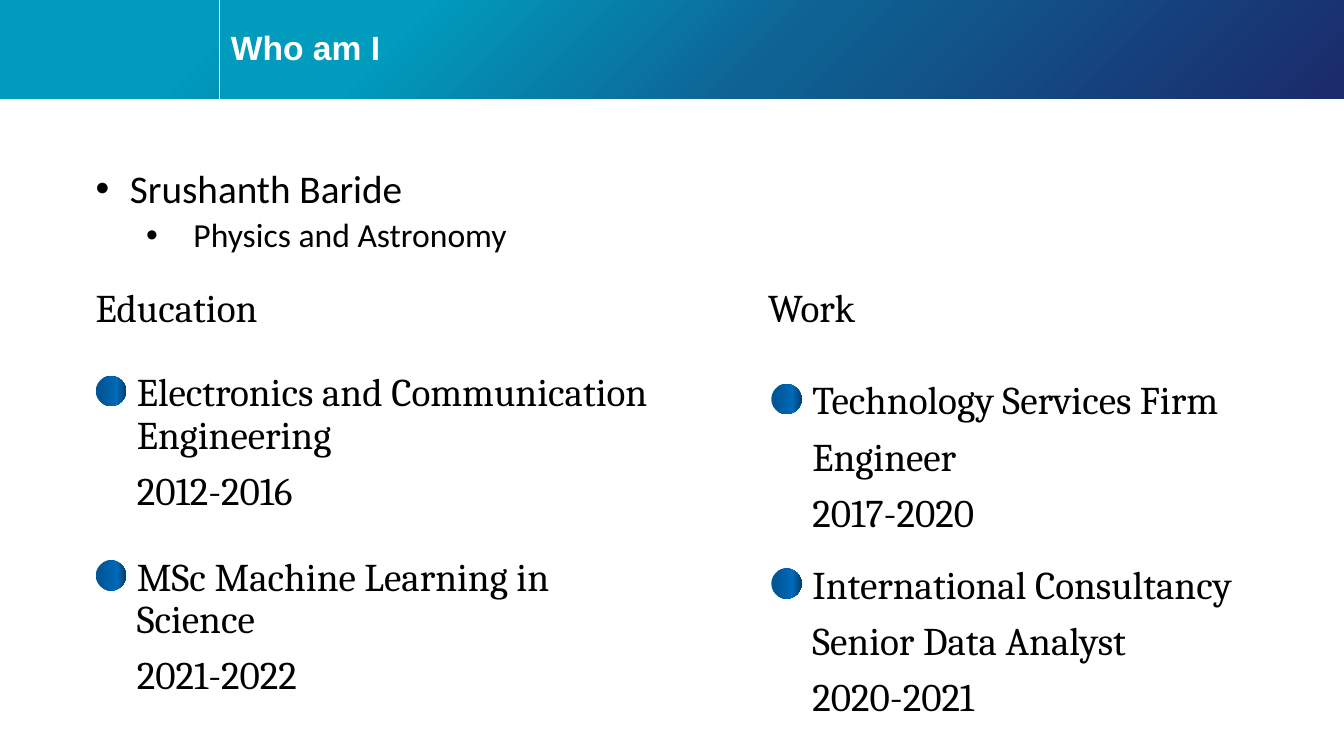
from lxml import etree
from pptx import Presentation
from pptx.dml.color import RGBColor
from pptx.enum.shapes import MSO_CONNECTOR, MSO_SHAPE
from pptx.enum.text import MSO_ANCHOR, PP_ALIGN
from pptx.oxml.ns import qn
from pptx.util import Pt

PX = 9144  # 100 px to the inch
SLIDE_W, SLIDE_H = 1333, 750
HEADER_H = 98
DIVIDER_X = 218
HEADER_STOPS = [(17, "009BBD"), (50, "0E6394"), (100, "1B2A6B")]
DOT_STOPS = [(17, "005697"), (70, "0069B8"), (100, "004071")]
DOT_SIZE = 30

EDUCATION = [
    (373, ["Electronics and Communication Engineering", "2012-2016"]),
    (556, ["MSc Machine Learning in Science", "2021-2022"]),
]
WORK = [
    (381, ["Technology Services Firm", "Engineer", "2017-2020"]),
    (564, ["International Consultancy", "Senior Data Analyst", "2020-2021"]),
]


def px(*lengths):
    return [length * PX for length in lengths]


def color(hex_code):
    return RGBColor.from_string(hex_code)


def add_gradient_shape(slide, kind, box, stops, angle):
    """Add a borderless shape; angle is in degrees, clockwise from left to right."""
    shape = slide.shapes.add_shape(kind, *px(*box))
    shape.shadow.inherit = False
    shape.line.fill.background()
    shape.fill.gradient()
    gradient = shape.fill._xPr.find(qn("a:gradFill"))
    for child in list(gradient):
        gradient.remove(child)
    stop_list = etree.SubElement(gradient, qn("a:gsLst"))
    for position, hex_code in stops:
        stop = etree.SubElement(stop_list, qn("a:gs"), pos=str(position * 1000))
        etree.SubElement(stop, qn("a:srgbClr"), val=hex_code)
    etree.SubElement(gradient, qn("a:lin"), ang=str(angle * 60000), scaled="0")


def add_divider(slide):
    divider = slide.shapes.add_connector(
        MSO_CONNECTOR.STRAIGHT, *px(DIVIDER_X, 0, DIVIDER_X, HEADER_H))
    divider.line.color.rgb = color("FFFFFF")
    divider.line.width = Pt(0.5)
    etree.SubElement(divider._element.spPr, qn("a:effectLst"))


def add_run(paragraph, text, size, font_name, hex_code="000000", bold=False):
    run = paragraph.add_run()
    run.text = text
    run.font.size = Pt(size)
    run.font.name = font_name
    run.font.bold = bold
    run.font.color.rgb = color(hex_code)


def add_text_frame(slide, box):
    frame = slide.shapes.add_textbox(*px(*box)).text_frame
    frame.word_wrap = True
    return frame


def next_paragraph(frame, space_before=10):
    first = frame.paragraphs[0]
    paragraph = frame.add_paragraph() if first.runs else first
    paragraph.line_spacing = 0.9
    paragraph.space_before = Pt(space_before)
    return paragraph


def add_lines(slide, box, lines):
    frame = add_text_frame(slide, box)
    for line in lines:
        add_run(next_paragraph(frame), line, 28, "Cambria")


def set_bullet(paragraph, margin, hanging):
    properties = paragraph._p.get_or_add_pPr()
    properties.set("marL", str(margin * PX))
    properties.set("indent", str(-hanging * PX))
    etree.SubElement(properties, qn("a:buFont"), typeface="Arial")
    etree.SubElement(properties, qn("a:buChar"), char="•")


def add_introduction(slide):
    frame = add_text_frame(slide, (85, 163, 445, 107))
    name = next_paragraph(frame)
    set_bullet(name, 34, 34)
    add_run(name, "Srushanth Baride", 28, "Calibri")
    department = next_paragraph(frame, 5)
    department.level = 1
    set_bullet(department, 97, 47)
    add_run(department, "Physics and Astronomy", 24, "Calibri")


def add_history(slide, heading, heading_left, dot_left, entries):
    add_lines(slide, (heading_left, 281, 209, 51), [heading])
    for dot_top, lines in entries:
        add_gradient_shape(slide, MSO_SHAPE.OVAL,
                           (dot_left, dot_top, DOT_SIZE, DOT_SIZE), DOT_STOPS, 0)
        add_lines(slide, (dot_left + 31, dot_top - 8, 540, 152), lines)


def add_header(slide, text):
    for left in (0, DIVIDER_X + 1):
        add_gradient_shape(slide, MSO_SHAPE.RECTANGLE,
                           (left, 0, SLIDE_W - left, HEADER_H), HEADER_STOPS, 45)
    add_divider(slide)
    title = slide.shapes.title
    title.left, title.top, title.width, title.height = px(219, 11, 1114, 76)
    slide.shapes._spTree.append(title._element)  # in front of the header bars
    title.text_frame.vertical_anchor = MSO_ANCHOR.MIDDLE
    paragraph = title.text_frame.paragraphs[0]
    paragraph.alignment = PP_ALIGN.LEFT
    paragraph.line_spacing = 0.9
    add_run(paragraph, text, 24, "Arial", "FFFFFF", bold=True)


def main():
    presentation = Presentation()
    presentation.slide_width, presentation.slide_height = px(SLIDE_W, SLIDE_H)
    slide = presentation.slides.add_slide(presentation.slide_layouts[5])
    add_header(slide, "Who am I")
    add_introduction(slide)
    add_history(slide, "Education", 85, 95, EDUCATION)
    add_history(slide, "Work", 752, 765, WORK)
    presentation.save("out.pptx")


if __name__ == "__main__":
    main()
